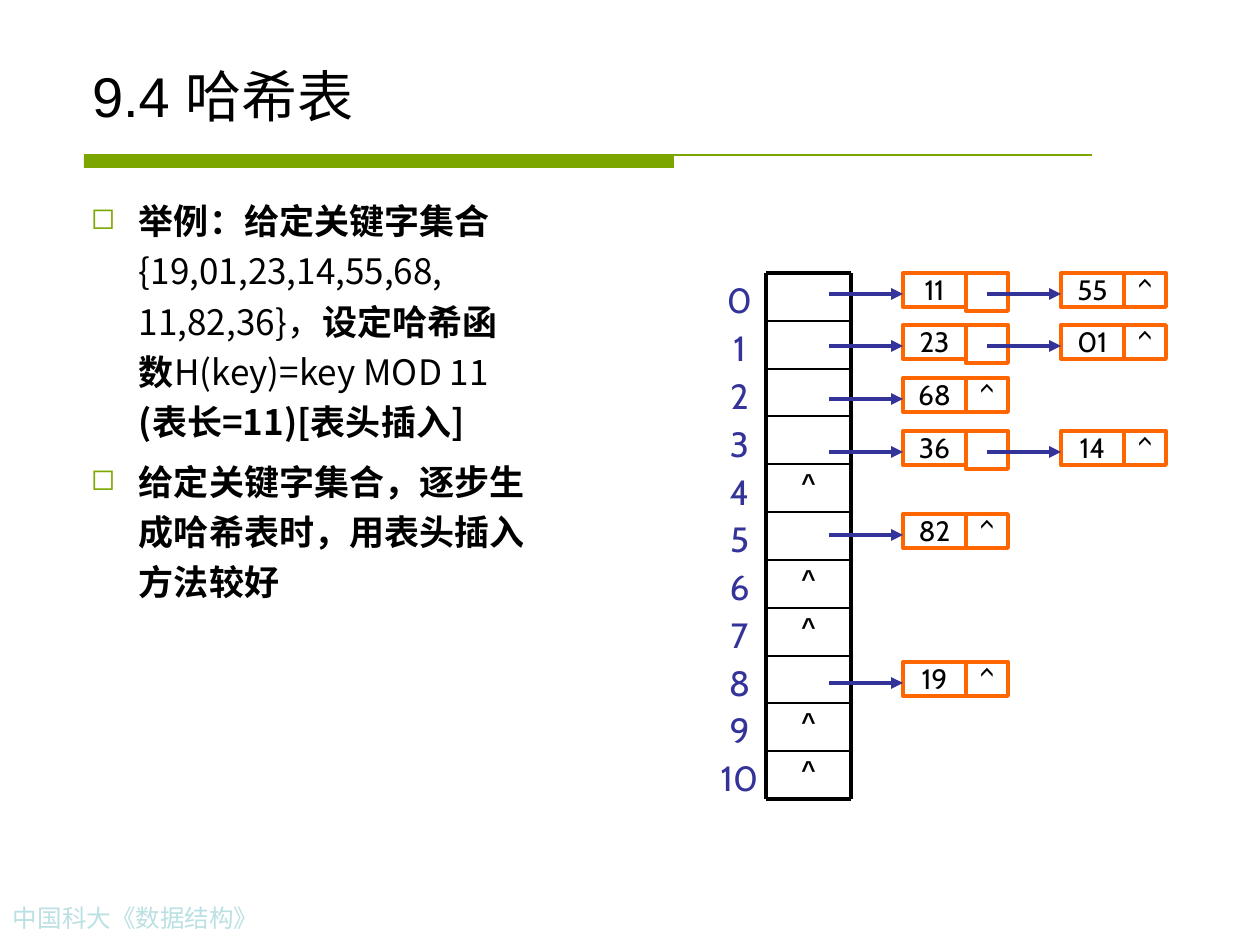
from dataclasses import dataclass

from lxml import etree
from pptx import Presentation
from pptx.dml.color import RGBColor
from pptx.enum.shapes import MSO_CONNECTOR, MSO_SHAPE
from pptx.enum.text import MSO_ANCHOR, PP_ALIGN
from pptx.oxml.ns import qn
from pptx.util import Emu, Pt

LINE = MSO_CONNECTOR.STRAIGHT
RECT = MSO_SHAPE.RECTANGLE
LEFT, MID = PP_ALIGN.LEFT, PP_ALIGN.CENTER
TOP, LOW = MSO_ANCHOR.TOP, MSO_ANCHOR.BOTTOM
SCALE = 914400 / 126
HAN = "Noto Sans CJK SC"
HEX = {"ink": "000000", "green": "7BA600", "mark": "7CA800",
       "pale": "BBE0E3", "blue": "333399", "node": "FF6600"}


@dataclass
class Box:
    x: int
    y: int
    w: int
    h: int


@dataclass
class Style:
    font: str
    size: int
    color: str = "ink"
    bold: bool = False


@dataclass
class Chain:
    y: int
    keys: tuple[str, ...]


CHAINS = [
    Chain(273, ("11", "55")),
    Chain(325, ("23", "01")),
    Chain(378, ("68",)),
    Chain(431, ("36", "14")),
    Chain(514, ("82",)),
    Chain(662, ("19",)),
]
ROWS = 11
EMPTY = (4, 6, 7, 9, 10)
GRID = Box(766, 273, 85, 526)
NODE_X, STEP = 903, 158
KEY_W, LINK_W, NODE_H, OPEN_H = 63, 42, 34, 38

BODY = [
    [("举例：给定关键字集合", True),
     ("{19,01,23,14,55,68, 11,82,36}，", False),
     ("设定哈希函数", True),
     ("H(key)=key MOD 11 ", False),
     ("(表长=11)[表头插入]", True)],
    [("给定关键字集合，逐步生成哈希表时，用表头插入方法较好", True)],
]


def px(val: float) -> Emu:
    return Emu(round(val * SCALE))


def rgb(name: str) -> RGBColor:
    return RGBColor.from_string(HEX[name])


def place(box: Box) -> tuple[Emu, ...]:
    return px(box.x), px(box.y), px(box.w), px(box.h)


def dress(run, style: Style) -> None:
    font = run.font
    font.name, font.size, font.bold = style.font, Pt(style.size), style.bold
    font.color.rgb = rgb(style.color)
    east = etree.SubElement(run._r.get_or_add_rPr(), qn("a:ea"))
    east.set("typeface", HAN)


def inset(frame, side: int, edge: int) -> None:
    frame.margin_left = frame.margin_right = px(side)
    frame.margin_top = frame.margin_bottom = px(edge)


def fill_text(frame, text: str, style: Style, align, gap: float = 0) -> None:
    frame.word_wrap = True
    frame.text = text
    for num, para in enumerate(frame.paragraphs):
        para.alignment = align
        if num and gap:
            para.space_before = Pt(gap)
        for run in para.runs:
            dress(run, style)


def add_text(slide, box: Box, text: str, style: Style, align=LEFT,
             edge: int = 6, anchor=TOP, gap: float = 0):
    frame = slide.shapes.add_textbox(*place(box)).text_frame
    inset(frame, 13, edge)
    frame.vertical_anchor = anchor
    fill_text(frame, text, style, align, gap)
    return frame


def add_line(slide, x1: int, y1: int, x2: int, y2: int,
             color: str, width: float, arrow: bool = False) -> None:
    line = slide.shapes.add_connector(LINE, px(x1), px(y1), px(x2), px(y2))
    line.line.color.rgb = rgb(color)
    line.line.width = Pt(width)
    if arrow:
        tail = etree.SubElement(line.line._get_or_add_ln(), qn("a:tailEnd"))
        tail.set("type", "triangle")
    etree.SubElement(line._element.spPr, qn("a:effectLst"))


def add_cell(slide, box: Box, text: str) -> None:
    cell = slide.shapes.add_shape(RECT, *place(box))
    cell.shadow.inherit = False
    cell.fill.background()
    cell.line.color.rgb = rgb("node")
    cell.line.width = Pt(2.25)
    if text:
        frame = cell.text_frame
        inset(frame, 0, 0)
        frame.vertical_anchor = TOP
        fill_text(frame, text, Style("Cabin", 16), MID)


def add_mark(para) -> None:
    prop = para._p.get_or_add_pPr()
    prop.set("marL", str(px(48)))
    prop.set("indent", str(px(-48)))
    tint = etree.SubElement(prop, qn("a:buClr"))
    etree.SubElement(tint, qn("a:srgbClr")).set("val", HEX["mark"])
    etree.SubElement(prop, qn("a:buSzPct")).set("val", "85000")
    etree.SubElement(prop, qn("a:buChar")).set("char", "◻")


def add_body(slide) -> None:
    frame = slide.shapes.add_textbox(*place(Box(78, 185, 467, 684))).text_frame
    inset(frame, 13, 6)
    frame.word_wrap = True
    for num, parts in enumerate(BODY):
        para = frame.add_paragraph() if num else frame.paragraphs[0]
        add_mark(para)
        para.line_spacing = 1.2
        if num:
            para.space_before = Pt(5)
        for text, bold in parts:
            run = para.add_run()
            run.text = text
            dress(run, Style(HAN, 20, bold=bold))


def add_frame(slide) -> None:
    bar = slide.shapes.add_shape(RECT, *place(Box(84, 155, 590, 13)))
    bar.shadow.inherit = False
    bar.fill.solid()
    bar.fill.fore_color.rgb = rgb("green")
    bar.line.fill.background()
    add_line(slide, 84, 155, 1092, 155, "green", 0.75)
    add_text(slide, Box(0, 897, 392, 43), "中国科大《数据结构》",
             Style("Times New Roman", 14, "pale"))
    add_text(slide, Box(79, 42, 1102, 93), "9.4 哈希表",
             Style("Arial", 32), anchor=LOW)


def add_grid(slide) -> None:
    tops = [GRID.y + round(GRID.h * row / ROWS) for row in range(ROWS + 1)]
    right, low = GRID.x + GRID.w, GRID.y + GRID.h
    for row in EMPTY:
        frame = add_text(slide, Box(GRID.x, tops[row], GRID.w, 48), "^",
                         Style("Arial", 14, bold=True), MID, edge=0)
        frame.paragraphs[0].line_spacing = 1.1
    for row, y in enumerate(tops):
        width = 2.25 if row in (0, ROWS) else 1
        add_line(slide, GRID.x, y, right, y, "ink", width)
    for x in (GRID.x, right):
        add_line(slide, x, GRID.y, x, low, "ink", 2.25)
    add_text(slide, Box(703, 273, 73, 532), "\n".join(map(str, range(ROWS))),
             Style("Cabin", 20, "blue"), MID, gap=3.3)


def add_chain(slide, chain: Chain) -> None:
    last = len(chain.keys) - 1
    for num, key in enumerate(chain.keys):
        x, end = NODE_X + num * STEP, num == last
        add_cell(slide, Box(x, chain.y, KEY_W, NODE_H), key)
        add_cell(slide, Box(x + KEY_W, chain.y, LINK_W,
                            NODE_H if end else OPEN_H), "^" if end else "")
    for num in range(last + 1):
        x, y = NODE_X + num * STEP, chain.y + 21
        add_line(slide, x - 74, y, x, y, "blue", 2.25, True)


def main() -> None:
    deck = Presentation()
    deck.slide_width, deck.slide_height = px(1260), px(945)
    slide = deck.slides.add_slide(deck.slide_layouts[6])
    add_frame(slide)
    add_body(slide)
    add_grid(slide)
    for chain in CHAINS:
        add_chain(slide, chain)
    deck.save("out.pptx")


if __name__ == "__main__":
    main()
